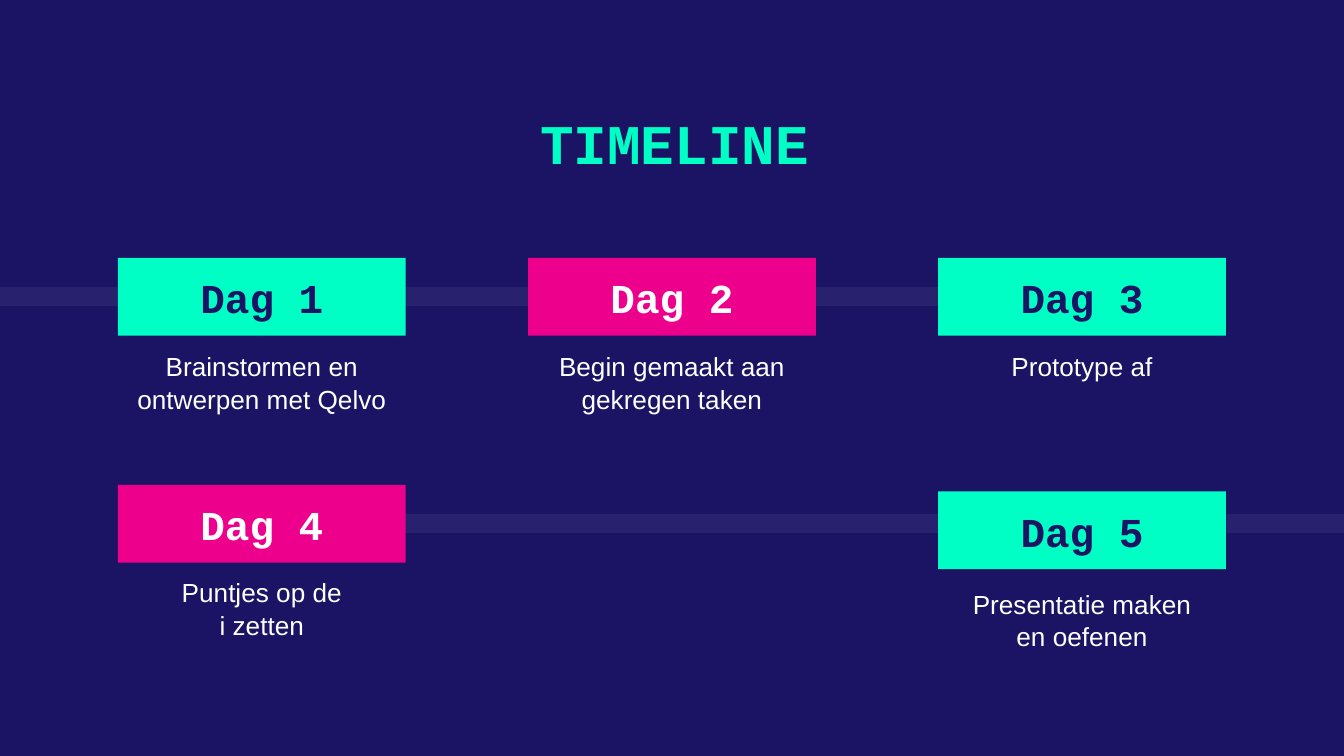
from dataclasses import dataclass
from lxml.etree import SubElement
from pptx import Presentation
from pptx.dml.color import RGBColor as Rgb
from pptx.enum.shapes import MSO_SHAPE as Shape
from pptx.enum.text import MSO_ANCHOR as Anchor, PP_ALIGN as Align
from pptx.oxml.ns import qn
from pptx.util import Pt


@dataclass(frozen=True)
class Theme:
    navy: Rgb = Rgb.from_string("1B1464")
    mint: Rgb = Rgb.from_string("00FFC5")
    pink: Rgb = Rgb.from_string("EC008C")
    white: Rgb = Rgb.from_string("FFFFFF")
    mono: str = "Courier New"
    sans: str = "Arial"
    title: int = 30
    head: int = 22
    note: int = 14
    lead: float = 1.15
    snug: float = 1.04
    inset: float = 7.2


THEME = Theme()
WIDE, HIGH = 720, 405
CARD, HEAD, NOTE = 154.2, 41.6, 149
LEFT, STEP = 63.2, 219.7


def write(shape, lines, font, size, color, bold, space, anchor):
    frame = shape.text_frame
    frame.word_wrap = True
    frame.vertical_anchor = anchor
    frame.margin_left = frame.margin_right = Pt(THEME.inset)
    frame.margin_top = frame.margin_bottom = Pt(THEME.inset)
    frame.text = lines
    for para in frame.paragraphs:
        para.alignment = Align.CENTER
        para.line_spacing = space
        para.font.name = font
        para.font.size = Pt(size)
        para.font.bold = bold
        para.font.color.rgb = color


def add_rect(slide, box, color):
    rect = slide.shapes.add_shape(Shape.RECTANGLE, *map(Pt, box))
    rect.shadow.inherit = False
    rect.fill.solid()
    rect.fill.fore_color.rgb = color
    rect.line.fill.background()
    return rect


def add_track(slide, box):
    track = add_rect(slide, box, THEME.white)
    tint = next(track.fill._xPr.iter(qn("a:srgbClr")))
    SubElement(tint, qn("a:alpha"), val="6000")


def add_title(slide, box, text):
    title = slide.shapes.add_textbox(*map(Pt, box))
    write(title, text, THEME.mono, THEME.title, THEME.mint, True,
          THEME.lead, Anchor.TOP)


def add_day(slide, box, name, text, fill, ink, drop):
    left, top, width, height = box
    note = slide.shapes.add_textbox(
        Pt(left + (width - NOTE) / 2), Pt(top + drop), Pt(NOTE), Pt(52.6))
    write(note, text, THEME.sans, THEME.note, THEME.white, False,
          THEME.snug, Anchor.TOP)
    head = add_rect(slide, (left, top, width, height), fill)
    write(head, name, THEME.mono, THEME.head, ink, True,
          THEME.lead, Anchor.BOTTOM)


def main():
    deck = Presentation()
    deck.slide_width, deck.slide_height = Pt(WIDE), Pt(HIGH)
    slide = deck.slides.add_slide(deck.slide_layouts[6])
    slide.background.fill.solid()
    slide.background.fill.fore_color.rgb = THEME.navy

    add_track(slide, (0, 153.8, 613.4, 10.2))
    add_track(slide, (73.4, 275.3, WIDE - 73.4, 10.2))
    add_title(slide, (102.2, 45.4, 518.4, 52.6), "TIMELINE")

    days = [
        (0, 138.2, 41.8, "Brainstormen en ontwerpen met Qelvo"),
        (1, 138.2, 41.8, "Begin gemaakt aan gekregen taken"),
        (2, 138.2, 41.8, "Prototype af"),
        (0, 259.8, 41.2, "Puntjes op de\ni zetten"),
        (2, 263.3, 44, "Presentatie maken en oefenen"),
    ]
    looks = [(THEME.mint, THEME.navy), (THEME.pink, THEME.white)]
    for num, (col, top, drop, text) in enumerate(days):
        fill, ink = looks[num % 2]
        box = (LEFT + col * STEP, top, CARD, HEAD)
        add_day(slide, box, f"Dag {num + 1}", text, fill, ink, drop)

    deck.save("out.pptx")


if __name__ == "__main__":
    main()
